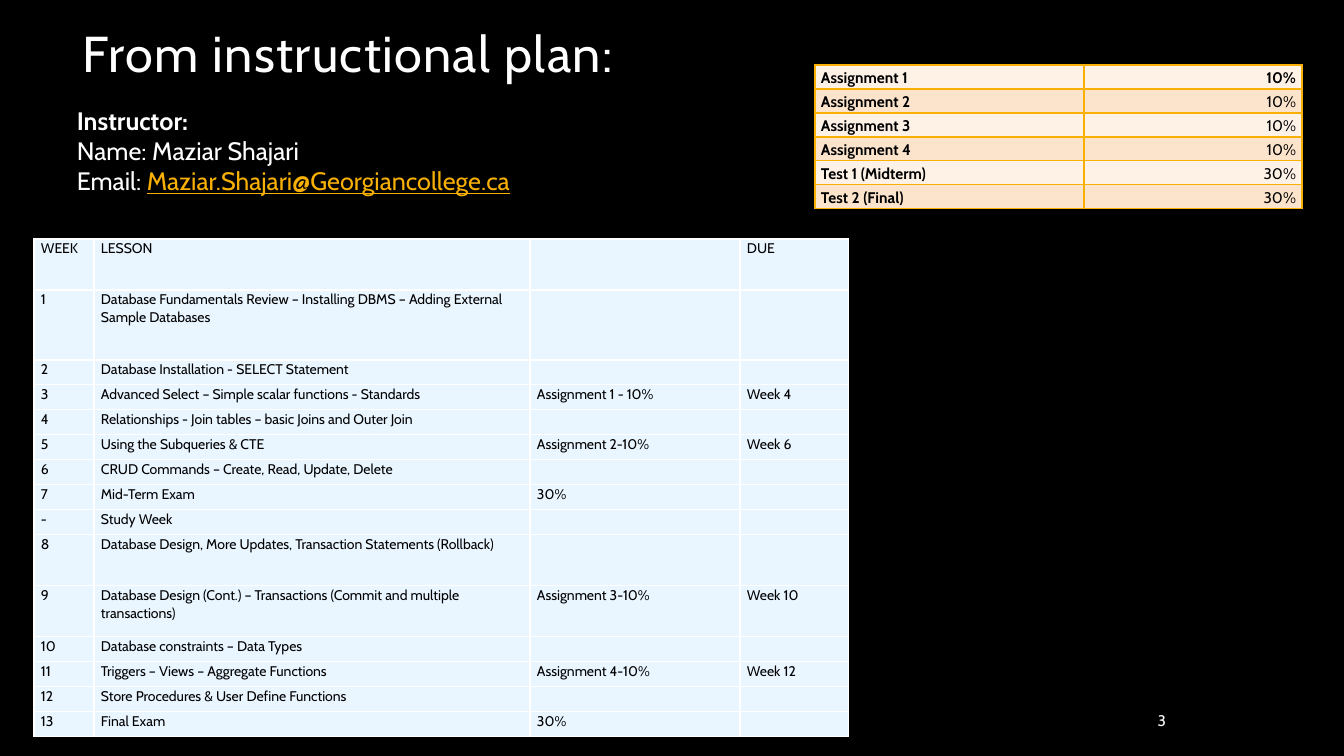
from dataclasses import dataclass

from lxml import etree
from pptx import Presentation
from pptx.dml.color import RGBColor
from pptx.enum.text import MSO_ANCHOR, PP_ALIGN
from pptx.oxml.ns import qn
from pptx.util import Pt

TOP, MIDDLE, BOTTOM = MSO_ANCHOR.TOP, MSO_ANCHOR.MIDDLE, MSO_ANCHOR.BOTTOM
LEFT, RIGHT = PP_ALIGN.LEFT, PP_ALIGN.RIGHT

TITLE = "From instructional plan:"
PAGE_NUMBER = "3"
INSTRUCTOR = [
    ["Instructor:"],
    ["Name: Maziar Shajari"],
    ["Email: ", "Maziar.Shajari@Georgiancollege.ca"],
]
GRADES = [
    ("Assignment 1", "10%"),
    ("Assignment 2", "10%"),
    ("Assignment 3", "10%"),
    ("Assignment 4", "10%"),
    ("Test 1 (Midterm)", "30%"),
    ("Test 2 (Final)", "30%"),
]
SCHEDULE = [
    ("WEEK", "LESSON", "", "DUE"),
    ("1", "Database Fundamentals Review – Installing DBMS – Adding External Sample Databases", "", ""),
    ("2", "Database Installation - SELECT Statement", "", ""),
    ("3", "Advanced Select – Simple scalar functions - Standards", "Assignment 1 - 10%", "Week 4"),
    ("4", "Relationships - Join tables – basic Joins and Outer Join", "", ""),
    ("5", "Using the Subqueries & CTE", "Assignment 2-10%", "Week 6"),
    ("6", "CRUD Commands – Create, Read, Update, Delete", "", ""),
    ("7", "Mid-Term Exam", "30%", ""),
    ("-", "Study Week", "", ""),
    ("8", "Database Design, More Updates, Transaction Statements (Rollback)", "", ""),
    ("9", "Database Design (Cont.) – Transactions (Commit and multiple transactions)", "Assignment 3-10%", "Week 10"),
    ("10", "Database constraints – Data Types", "", ""),
    ("11", "Triggers – Views – Aggregate Functions", "Assignment 4-10%", "Week 12"),
    ("12", "Store Procedures & User Define Functions", "", ""),
    ("13", "Final Exam", "30%", ""),
]
GRADE_COLUMNS = [269, 218]
GRADE_ROWS = [24] * len(GRADES)
SCHEDULE_COLUMNS = [60, 436, 210, 109]
TALL_ROWS = {"WEEK": 51, "1": 70, "8": 51, "9": 51}
SCHEDULE_ROWS = [TALL_ROWS.get(row[0], 25) for row in SCHEDULE]


@dataclass(frozen=True)
class Theme:
    font: str = "Cabin"
    background: str = "000000"
    light: str = "FFFFFF"
    dark: str = "000000"
    accent: str = "F8B004"
    grade_bands: tuple = ("FEF2E7", "FCE4CC")
    schedule_fill: str = "E9F5FF"
    title_size: int = 36
    body_size: int = 18
    grade_size: int = 11
    schedule_size: int = 10
    number_size: int = 11


THEME = Theme()


def px(length):
    return round(length * 914400 / 100.8)


def color(code):
    return RGBColor.from_string(code)


def style(para, size, code, bold=False, align=LEFT):
    para.alignment = align
    font = para.font
    font.name, font.size, font.bold = THEME.font, Pt(size), bold
    font.color.rgb = color(code)


def add_text(page, place, lines, size, anchor=TOP, align=LEFT):
    frame = page.shapes.add_textbox(*map(px, place)).text_frame
    frame.word_wrap = True
    frame.vertical_anchor = anchor
    for index, spans in enumerate(lines):
        para = frame.add_paragraph() if index else frame.paragraphs[0]
        for text in spans:
            para.add_run().text = text
        style(para, size, THEME.light, align=align)
    return frame.paragraphs


def add_borders(cell, code):
    properties = cell._tc.get_or_add_tcPr()
    for side in ("lnL", "lnR", "lnT", "lnB"):
        line = etree.SubElement(properties, qn("a:" + side), w=str(Pt(1)))
        fill = etree.SubElement(line, qn("a:solidFill"))
        etree.SubElement(fill, qn("a:srgbClr"), val=code)


def add_grid(page, left, top, rows, widths, heights, size, border, bands, insets, anchor):
    frame = page.shapes.add_table(len(rows), len(widths), px(left), px(top),
                                  px(sum(widths)), px(sum(heights)))
    table = frame.table
    table.first_row = table.horz_banding = False
    for column, width in zip(table.columns, widths):
        column.width = px(width)
    for number, (row, height) in enumerate(zip(rows, heights)):
        table.rows[number].height = px(height)
        for index, text in enumerate(row):
            cell = table.cell(number, index)
            add_borders(cell, border)
            cell.fill.solid()
            cell.fill.fore_color.rgb = color(bands[number % len(bands)])
            cell.margin_left = cell.margin_right = px(insets[0])
            cell.margin_top = cell.margin_bottom = px(insets[1])
            cell.vertical_anchor = anchor
            para = cell.text_frame.paragraphs[0]
            para.line_spacing = 1.07
            para.space_after = Pt(13.5)
            style(para, size, THEME.dark)
            if text:
                para.add_run().text = text
            else:
                etree.SubElement(para._p, qn("a:endParaRPr"), sz=str(size * 100))
    return table


def main():
    deck = Presentation()
    deck.slide_width, deck.slide_height = px(1344), px(756)
    page = deck.slides.add_slide(deck.slide_layouts[6])
    page.background.fill.solid()
    page.background.fill.fore_color.rgb = color(THEME.background)

    title = add_text(page, (73, 12, 1008, 76), [[TITLE]], THEME.title_size, BOTTOM)[0]
    title.line_spacing = 0.9
    title.runs[0]._r.get_or_add_rPr().set("spc", "100")

    add_text(page, (1083, 705, 93, 30), [[PAGE_NUMBER]], THEME.number_size, MIDDLE, RIGHT)

    heading, _, contact = add_text(page, (67, 100, 671, 102), INSTRUCTOR, THEME.body_size)
    heading.font.bold = True
    address = contact.runs[1].font
    address.underline = True
    address.color.rgb = color(THEME.accent)

    grades = add_grid(page, 815, 65, GRADES, GRADE_COLUMNS, GRADE_ROWS, THEME.grade_size,
                      THEME.accent, THEME.grade_bands, (6, 2), MIDDLE)
    for number in range(len(GRADES)):
        name, weight = (grades.cell(number, index).text_frame.paragraphs[0] for index in (0, 1))
        name.font.bold = True
        weight.font.bold = number == 0
        weight.alignment = RIGHT

    add_grid(page, 34, 239, SCHEDULE, SCHEDULE_COLUMNS, SCHEDULE_ROWS, THEME.schedule_size,
             THEME.light, (THEME.schedule_fill,), (7, 0), TOP)
    deck.save("out.pptx")


if __name__ == "__main__":
    main()
